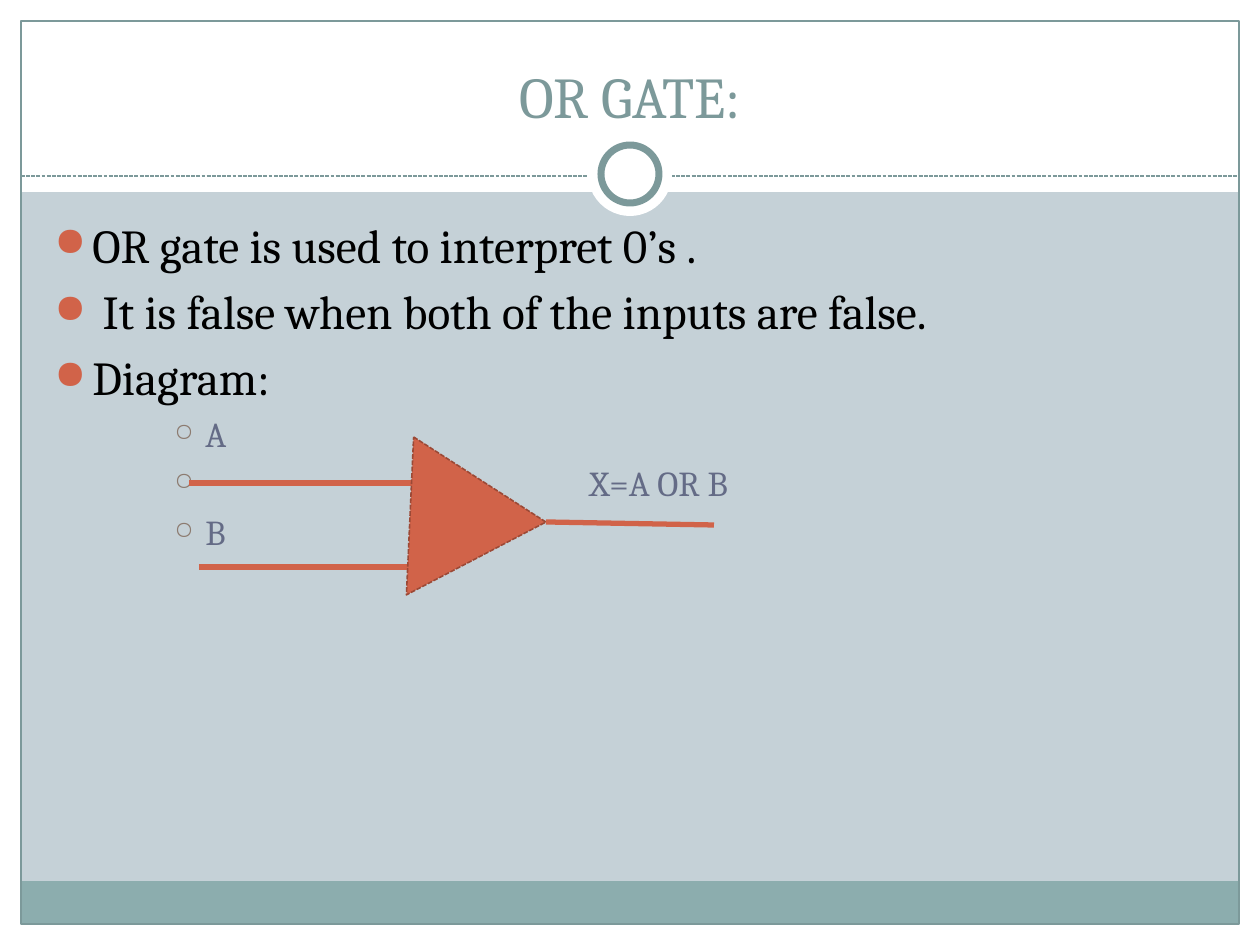
from lxml.etree import SubElement
from pptx import Presentation
from pptx.dml.color import RGBColor
from pptx.enum.dml import MSO_LINE
from pptx.enum.shapes import MSO_CONNECTOR, MSO_SHAPE
from pptx.enum.text import MSO_ANCHOR, PP_ALIGN
from pptx.oxml.ns import qn
from pptx.util import Emu, Pt

FONT = "Cambria"
WHITE, BLACK = "FFFFFF", "000000"
BACKGROUND, BAND, FRAME = "C5D1D7", "8CADAE", "7C999A"
ORANGE, RUST, SLATE, BROWN = "D16349", "9B4936", "646B86", "8C7B70"
WIDTH, HEIGHT, MARGIN = 1260, 945, 21


def px(length):
    """Turn pixels into EMU."""
    return Emu(round(length * 914400 / 126))


def color(value):
    """Turn a hex string into a colour."""
    return RGBColor.from_string(value)


def style_line(line, value, points, dashed=False):
    """Set the colour, width and dash of a line."""
    line.color.rgb = color(value)
    line.width = Pt(points)
    if dashed:
        line.dash_style = MSO_LINE.SQUARE_DOT


def add_figure(page, kind, bounds, fill=None):
    """Add a preset shape without shadow or outline."""
    shape = page.shapes.add_shape(kind, *map(px, bounds))
    shape.shadow.inherit = False
    shape.line.fill.background()
    if fill:
        shape.fill.solid()
        shape.fill.fore_color.rgb = color(fill)
    else:
        shape.fill.background()
    return shape


def add_line(page, start, end, value, points, dashed=False):
    """Add a straight line without shadow."""
    line = page.shapes.add_connector(MSO_CONNECTOR.STRAIGHT, *map(px, (*start, *end)))
    style_line(line.line, value, points, dashed)
    SubElement(line._element.spPr, qn("a:effectLst"))


def add_text_frame(page, bounds):
    """Add a wrapping text box and return its frame."""
    frame = page.shapes.add_textbox(*map(px, bounds)).text_frame
    frame.word_wrap = True
    return frame


def add_span(para, text, size, value):
    """Add one formatted run to a paragraph."""
    span = para.add_run()
    span.text = text
    span.font.name = FONT
    span.font.size = Pt(size)
    span.font.color.rgb = color(value)


def set_bullet(para, character, value, percent, bullet_left, text_left):
    """Give a paragraph a bullet, a hanging indent and relative spacing."""
    properties = para._p.get_or_add_pPr()
    properties.set("marL", str(px(text_left)))
    properties.set("indent", str(px(bullet_left - text_left)))
    spacing = SubElement(properties, qn("a:spcBef"))
    SubElement(spacing, qn("a:spcPct"), val="20000")
    bullet_color = SubElement(properties, qn("a:buClr"))
    SubElement(bullet_color, qn("a:srgbClr"), val=value)
    SubElement(properties, qn("a:buSzPct"), val=str(percent * 1000))
    SubElement(properties, qn("a:buChar"), char=character)


def add_backdrop(page):
    """Draw the margins, footer band, frame and header ring."""
    page.background.fill.solid()
    page.background.fill.fore_color.rgb = color(BACKGROUND)
    inner_width = WIDTH - 2 * MARGIN
    panels = [
        ((0, HEIGHT - MARGIN, WIDTH, MARGIN), WHITE),
        ((0, 0, WIDTH, 192), WHITE),
        ((0, 0, MARGIN, HEIGHT), WHITE),
        ((WIDTH - MARGIN, 0, MARGIN, HEIGHT), WHITE),
        ((MARGIN, 881, inner_width, 43), BAND),
    ]
    for bounds, fill in panels:
        add_figure(page, MSO_SHAPE.RECTANGLE, bounds, fill)
    frame = add_figure(page, MSO_SHAPE.RECTANGLE,
                       (MARGIN, MARGIN, inner_width, HEIGHT - 2 * MARGIN))
    style_line(frame.line, FRAME, 0.75)
    add_line(page, (MARGIN, 176), (WIDTH - MARGIN, 176), FRAME, 0.75, True)
    add_figure(page, MSO_SHAPE.OVAL, (588, 132, 84, 84), WHITE)
    ring = add_figure(page, MSO_SHAPE.OVAL, (601, 145, 58, 58), WHITE)
    style_line(ring.line, FRAME, 4)


def add_title(page, text):
    """Add the centred title."""
    frame = add_text_frame(page, (42, 32, 1176, 104))
    frame.vertical_anchor = MSO_ANCHOR.BOTTOM
    para = frame.paragraphs[0]
    para.alignment = PP_ALIGN.CENTER
    add_span(para, text, 33, FRAME)


def add_body(page):
    """Add the statements and the labels of the diagram."""
    frame = add_text_frame(page, (42, 210, 1172, 630))
    statement = (27, BLACK, "●", ORANGE, 85, 0)
    label = (20, SLATE, "○", BROWN, 70, 120)
    rows = [
        ("OR gate is used to interpret 0’s .", statement, 38),
        (" It is false when both of the inputs are false.", statement, 38),
        ("Diagram:", statement, 38),
        ("A", label, 151),
        ("X=A OR B", label, 535),
        ("B", label, 151),
    ]
    for index, (text, style, text_left) in enumerate(rows):
        size, value, character, bullet_value, percent, bullet_left = style
        para = frame.add_paragraph() if index else frame.paragraphs[0]
        set_bullet(para, character, bullet_value, percent, bullet_left, text_left)
        add_span(para, text, size, value)


def add_gate(page):
    """Draw the gate with its two inputs and its output."""
    for start, end in (((189, 483), (420, 483)), ((199, 567), (410, 567))):
        add_line(page, start, end, ORANGE, 3)
    gate = add_figure(page, MSO_SHAPE.FLOWCHART_EXTRACT, (399, 451, 158, 136), ORANGE)
    gate.rotation = 92.6
    style_line(gate.line, RUST, 0.9, True)
    add_line(page, (546, 522), (714, 525), ORANGE, 3)


def main():
    """Build and save the deck."""
    deck = Presentation()
    deck.slide_width, deck.slide_height = px(WIDTH), px(HEIGHT)
    page = deck.slides.add_slide(deck.slide_layouts[6])
    add_backdrop(page)
    add_title(page, "OR GATE:")
    add_body(page)
    add_gate(page)
    deck.save("out.pptx")


if __name__ == "__main__":
    main()
